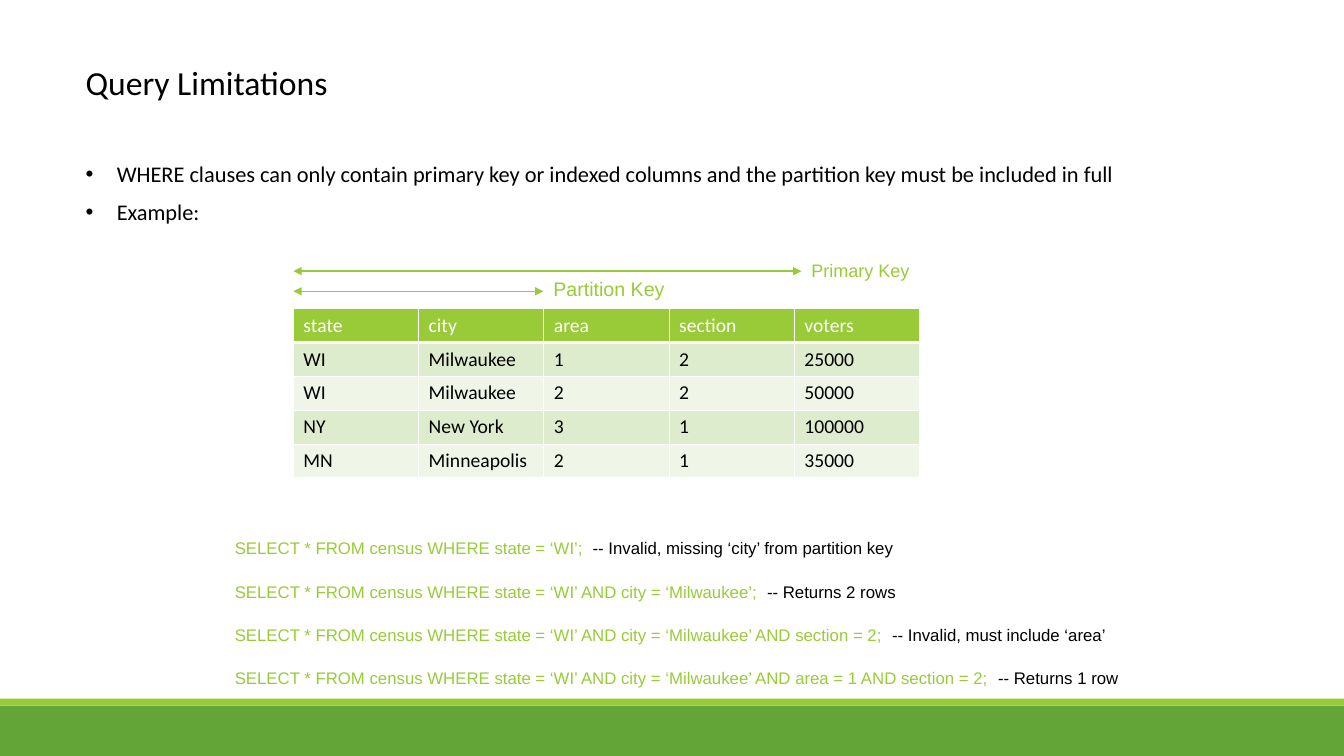
from pptx import Presentation
from pptx.dml.color import RGBColor
from pptx.enum.shapes import MSO_CONNECTOR, MSO_SHAPE
from pptx.enum.text import MSO_ANCHOR
from pptx.oxml.ns import qn
from pptx.util import Inches, Pt
from lxml.etree import SubElement

LIME = RGBColor(0x99, 0xCB, 0x38)
GREEN = RGBColor(0x63, 0xA5, 0x37)
PALE = RGBColor(0xDE, 0xEC, 0xCE)
MIST = RGBColor(0xEF, 0xF6, 0xE8)
BLACK = RGBColor(0, 0, 0)
WHITE = RGBColor(255, 255, 255)

LEFT = 5.63
TABLE = 21.83
COL = 9.32
ROW = 4.49

CENSUS = [
    ["state", "city", "area", "section", "voters"],
    ["WI", "Milwaukee", "1", "2", "25000"],
    ["WI", "Milwaukee", "2", "2", "50000"],
    ["NY", "New York", "3", "1", "100000"],
    ["MN", "Minneapolis", "2", "1", "35000"],
]
KEYS = [
    ("Primary Key", 59.64, 35.87, 33.73, 12.9),
    ("Partition Key", 40.43, 38.53, 36, 14),
]
QUERIES = [
    ("state = ‘WI’", "Invalid, missing ‘city’ from partition key"),
    ("state = ‘WI’ AND city = ‘Milwaukee’", "Returns 2 rows"),
    ("state = ‘WI’ AND city = ‘Milwaukee’ AND section = 2",
     "Invalid, must include ‘area’"),
    ("state = ‘WI’ AND city = ‘Milwaukee’ AND area = 1 AND section = 2",
     "Returns 1 row"),
]


def write(para, text, size=14, color=BLACK, font="Calibri"):
    run = para.add_run()
    run.text = text
    run.font.size = Pt(size)
    run.font.name = font
    run.font.color.rgb = color


class Page:
    def __init__(self, deck):
        self.wide, self.high = deck.slide_width, deck.slide_height
        self.shapes = deck.slides.add_slide(deck.slide_layouts[6]).shapes

    def area(self, *shares):
        sides = (self.wide, self.high) * 2
        return [round(side * share / 100) for side, share in zip(sides, shares)]

    def bar(self, top, high, color):
        bar = self.shapes.add_shape(MSO_SHAPE.RECTANGLE, *self.area(0, top, 100, high))
        bar.shadow.inherit = False
        bar.fill.solid()
        bar.fill.fore_color.rgb = color
        bar.line.fill.background()

    def text(self, *shares, anchor=MSO_ANCHOR.TOP):
        frame = self.shapes.add_textbox(*self.area(*shares)).text_frame
        frame.word_wrap = True
        frame.vertical_anchor = anchor
        return frame

    def bullets(self, frame, items, size):
        for i, item in enumerate(items):
            para = frame.add_paragraph() if i else frame.paragraphs[0]
            props = para._p.get_or_add_pPr()
            props.set("marL", str(Inches(0.31)))
            props.set("indent", str(Inches(-0.31)))
            SubElement(props, qn("a:buFont"), typeface="Arial")
            SubElement(props, qn("a:buChar"), char="•")
            para.line_spacing = 0.9
            if i:
                para.space_before = Pt(10)
            write(para, item, size=size)

    def arrow(self, start, end, top):
        line = self.shapes.add_connector(
            MSO_CONNECTOR.STRAIGHT, *self.area(start, top, end, top))
        line.line.color.rgb = LIME
        line.line.width = Pt(1)
        props = line._element.spPr
        for name in ("a:headEnd", "a:tailEnd"):
            SubElement(props.find(qn("a:ln")), qn(name), type="triangle")
        SubElement(props, qn("a:effectLst"))

    def edge(self, cell, side, width):
        line = SubElement(cell._tc.get_or_add_tcPr(), qn("a:" + side), w=str(Pt(width)))
        fill = SubElement(line, qn("a:solidFill"))
        SubElement(fill, qn("a:srgbClr"), val=str(WHITE))

    def table(self, left, top, rows):
        count = len(rows[0])
        box = self.area(left, top, COL * count, ROW * len(rows))
        table = self.shapes.add_table(len(rows), count, *box).table
        for r, row in enumerate(rows):
            for c, value in enumerate(row):
                cell = table.cell(r, c)
                for side in ("lnL", "lnR", "lnT", "lnB"):
                    thick = (r, side) in ((0, "lnB"), (1, "lnT"))
                    self.edge(cell, side, 3 if thick else 1)
                cell.fill.solid()
                cell.fill.fore_color.rgb = (PALE if r % 2 else MIST) if r else LIME
                write(cell.text_frame.paragraphs[0], value,
                      color=BLACK if r else WHITE)


def main():
    deck = Presentation()
    deck.slide_width, deck.slide_height = Inches(13.33), Inches(7.5)
    page = Page(deck)
    page.bar(93.33, 6.67, GREEN)
    page.bar(92.4, 0.93, LIME)

    title = page.text(LEFT, 4.8, 76.67, 12.67, anchor=MSO_ANCHOR.MIDDLE).paragraphs[0]
    title.line_spacing = 0.9
    write(title, "Query Limitations", size=24)
    page.bullets(page.text(LEFT, 20.93, 80.95, 20.8), [
        "WHERE clauses can only contain primary key or indexed columns "
        "and the partition key must be included in full",
        "Example:",
    ], size=16)

    page.table(TABLE, 40.8, CENSUS)
    for name, end, level, top, size in KEYS:
        page.arrow(TABLE, end, level)
        label = page.text(end, top, 19.2, 4).paragraphs[0]
        write(label, name, size=size, color=LIME, font="Arial")

    for i, (test, note) in enumerate(QUERIES):
        para = page.text(16.73, 70.53 + 5.7 * i, 68.27, 4).paragraphs[0]
        write(para, f"SELECT * FROM census WHERE {test};  ",
              size=12, color=LIME, font="Arial")
        write(para, f"-- {note}", size=12, font="Arial")

    deck.save("out.pptx")


if __name__ == "__main__":
    main()
